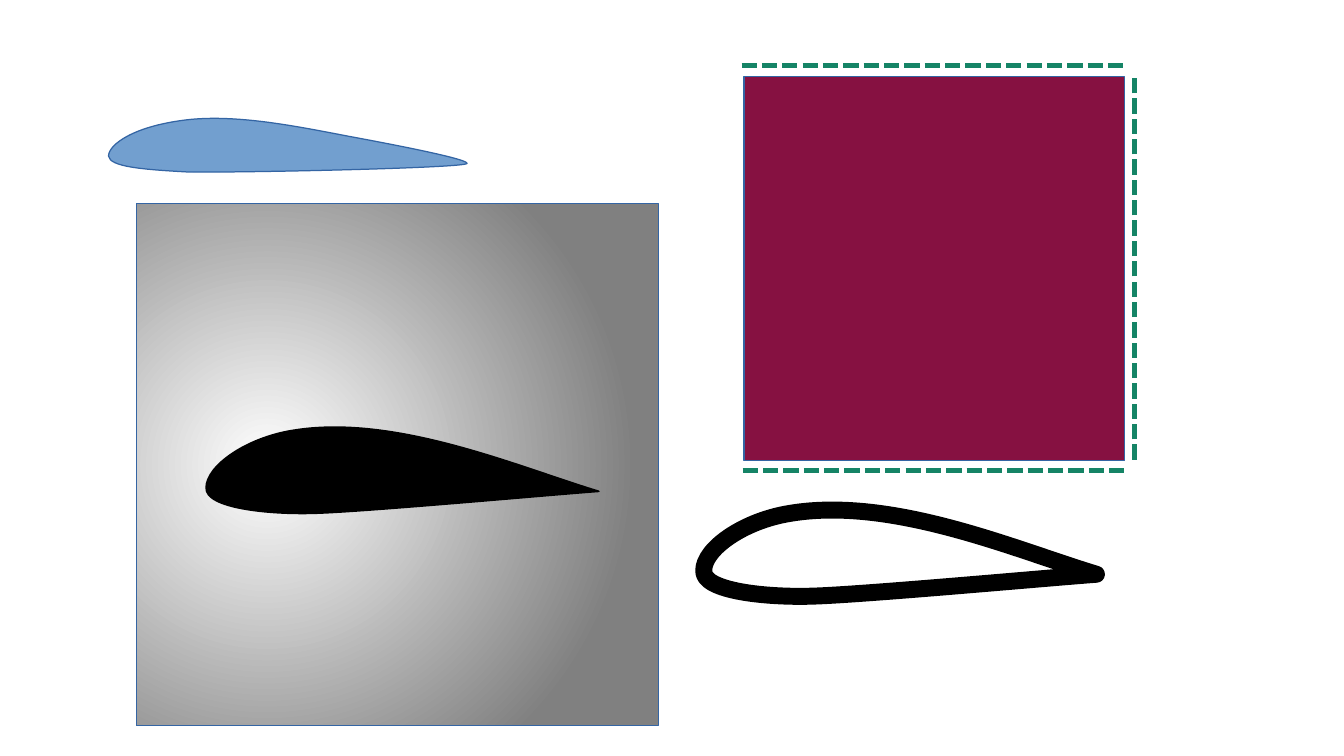
from dataclasses import dataclass

from lxml.etree import SubElement
from pptx import Presentation
from pptx.dml.color import RGBColor
from pptx.enum.dml import MSO_LINE
from pptx.enum.shapes import MSO_CONNECTOR, MSO_SHAPE
from pptx.oxml.ns import qn
from pptx.shapes.autoshape import Shape
from pptx.slide import Slide
from pptx.util import Inches, Pt

WHITE = RGBColor(0xFF, 0xFF, 0xFF)
BLACK = RGBColor(0x00, 0x00, 0x00)
GRAY = RGBColor(0x80, 0x80, 0x80)
CRIMSON = RGBColor(0x86, 0x11, 0x41)
GREEN = RGBColor(0x15, 0x84, 0x66)
LIGHT_BLUE = RGBColor(0x72, 0x9F, 0xCF)
BLUE = RGBColor(0x34, 0x65, 0xA4)

Point = tuple[float, float]
Curve = tuple[Point, Point, Point]


@dataclass(frozen=True)
class Outline:
    top_left: Point
    bottom_right: Point
    start: Point
    curves: tuple[Curve, ...]


@dataclass(frozen=True)
class Airfoil:
    outline: Outline
    offset: Point
    fill: RGBColor
    line: RGBColor
    line_width: float


@dataclass(frozen=True)
class DashedLine:
    start: Point
    end: Point


SLIM = Outline((0.89, 0.97), (3.83, 1.41), (2.87, 1.12), (
    ((2.45, 1.04), (1.97, 0.94), (1.56, 0.98)),
    ((1.09, 1.03), (0.89, 1.19), (0.89, 1.28)),
    ((0.9, 1.37), (1.18, 1.39), (1.52, 1.41)),
    ((1.85, 1.42), (3.83, 1.38), (3.83, 1.34)),
    ((3.83, 1.3), (3.14, 1.17), (2.87, 1.12)),
))
THICK = Outline((1.69, 3.5), (4.91, 4.21), (2.4, 3.53), (
    ((2.02, 3.59), (1.69, 3.82), (1.69, 4.0)),
    ((1.68, 4.17), (2.21, 4.22), (2.57, 4.21)),
    ((2.97, 4.2), (4.5, 4.06), (4.91, 4.03)),
    ((4.25, 3.83), (3.24, 3.39), (2.4, 3.53)),
))

SLIM_AIRFOIL = Airfoil(SLIM, (0, 0), LIGHT_BLUE, BLUE, 0)
SOLID_AIRFOIL = Airfoil(THICK, (0, 0), BLACK, BLACK, 1)
HOLLOW_AIRFOIL = Airfoil(THICK, (4.08, 0.68), WHITE, BLACK, 10)

DASHED_LINES = (
    DashedLine((6.08, 0.54), (9.23, 0.54)),
    DashedLine((9.3, 3.77), (9.3, 0.62)),
    DashedLine((6.09, 3.86), (9.24, 3.86)),
)


def style_line(shape: Shape, color: RGBColor, width: float) -> None:
    shape.shadow.inherit = False
    shape.line.color.rgb = color
    shape.line.width = Pt(width)


def draw_curves(shape: Shape, outline: Outline) -> None:
    """Replace the straight segments of a freeform by the outline's curves."""
    left, top = outline.top_left
    geometry = shape.element.spPr.find(f".//{qn('a:path')}")
    for segment in list(geometry):
        geometry.remove(segment)
    segments = [("a:moveTo", (outline.start,))]
    segments += [("a:cubicBezTo", curve) for curve in outline.curves]
    for tag, points in segments:
        segment = SubElement(geometry, qn(tag))
        for x, y in points:
            position = {"x": str(Inches(x - left)), "y": str(Inches(y - top))}
            SubElement(segment, qn("a:pt"), position)
    SubElement(geometry, qn("a:close"))


def add_airfoil(slide: Slide, airfoil: Airfoil) -> None:
    dx, dy = airfoil.offset
    outline = airfoil.outline
    first, last = (
        (Inches(x + dx), Inches(y + dy))
        for x, y in (outline.top_left, outline.bottom_right)
    )
    builder = slide.shapes.build_freeform(*first, scale=1.0)
    builder.add_line_segments([last], close=True)
    shape = builder.convert_to_shape()
    draw_curves(shape, outline)
    shape.fill.solid()
    shape.fill.fore_color.rgb = airfoil.fill
    style_line(shape, airfoil.line, airfoil.line_width)
    SubElement(shape.element.spPr.find(qn("a:ln")), qn("a:round"))


def add_rectangle(slide: Slide, left: float, top: float, width: float, height: float) -> Shape:
    shape = slide.shapes.add_shape(
        MSO_SHAPE.RECTANGLE, Inches(left), Inches(top), Inches(width), Inches(height)
    )
    style_line(shape, BLUE, 0)
    return shape


def fill_radial(shape: Shape, inner: RGBColor, outer: RGBColor) -> None:
    """Fill with a circular gradient centred a quarter of the way across."""
    shape.fill.gradient()
    for stop, color in zip(shape.fill.gradient_stops, (inner, outer)):
        stop.color.rgb = color
    gradient = shape.element.spPr.find(qn("a:gradFill"))
    gradient.remove(gradient.find(qn("a:lin")))
    circle = SubElement(gradient, qn("a:path"), {"path": "circle"})
    centre = {"l": "25000", "t": "50000", "r": "75000", "b": "50000"}
    SubElement(circle, qn("a:fillToRect"), centre)


def add_dashed_line(slide: Slide, dashed: DashedLine) -> None:
    ends = [Inches(value) for value in (*dashed.start, *dashed.end)]
    connector = slide.shapes.add_connector(MSO_CONNECTOR.STRAIGHT, *ends)
    connector.line.color.rgb = GREEN
    connector.line.width = Pt(3)
    connector.line.dash_style = MSO_LINE.SQUARE_DOT
    SubElement(connector.element.spPr, qn("a:effectLst"))


def main() -> None:
    presentation = Presentation()
    presentation.slide_width = Inches(11.02)
    presentation.slide_height = Inches(6.2)
    slide = presentation.slides.add_slide(presentation.slide_layouts[6])

    crimson_square = add_rectangle(slide, 6.1, 0.63, 3.12, 3.15)
    crimson_square.fill.solid()
    crimson_square.fill.fore_color.rgb = CRIMSON
    for dashed in DASHED_LINES:
        add_dashed_line(slide, dashed)

    add_airfoil(slide, SLIM_AIRFOIL)
    fill_radial(add_rectangle(slide, 1.12, 1.67, 4.28, 4.28), WHITE, GRAY)
    add_airfoil(slide, SOLID_AIRFOIL)
    add_airfoil(slide, HOLLOW_AIRFOIL)

    presentation.save("out.pptx")


if __name__ == "__main__":
    main()
